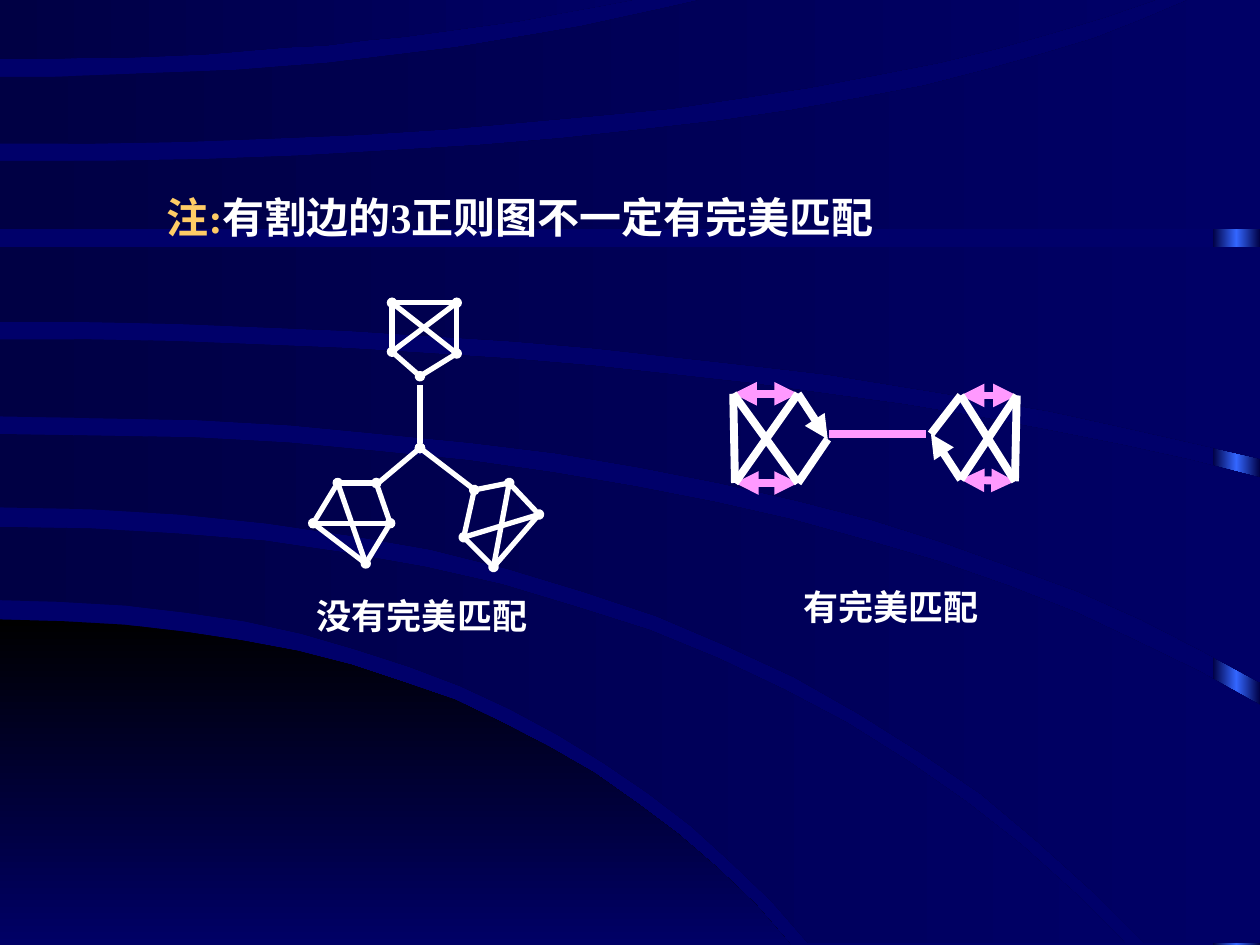
"""Build a slide on perfect matchings in 3-regular graphs with cut edges."""
from copy import deepcopy
from dataclasses import dataclass

from lxml import etree
from pptx import Presentation
from pptx import util as u
from pptx.dml.color import RGBColor
from pptx.enum import shapes, text
from pptx.oxml.ns import qn


@dataclass(frozen=True)
class Theme:
    """Colours, font and sizes of the slide."""
    back: str = "00006A"
    band: tuple = ("000044", "000066")
    ground: tuple = ("000000", "000066")
    stripe: tuple = ("000044", "3366FF", "000044")
    white: str = "FFFFFF"
    gold: str = "FFCC66"
    pink: str = "FF99FF"
    font: str = "Times New Roman"
    title_size: float = 24
    label_size: float = 20
    thin: float = 3
    thick: float = 4.5


@dataclass(frozen=True)
class Arc:
    """A curve that leaves the left side level and bends to its end point."""
    start: float
    bend: float
    right: float
    end: float

    def points(self, steps=16):
        """Return points along the quadratic curve."""
        return [(2 * t * (1 - t) * self.bend + t * t * self.right,
                 (1 - t * t) * self.start + t * t * self.end)
                for t in (step / steps for step in range(steps + 1))]


THEME = Theme()
GROUND = Arc(354, 293, 452, 540), Arc(540, 226, 452, 540)
BANDS = [
    (Arc(301, 420, 643, 539), Arc(343, 295, 462, 539)),
    (Arc(248, 458, 720, 403), Arc(290, 423, 654, 539)),
    (Arc(194, 408, 720, 273), Arc(238, 462, 720, 390)),
    (Arc(141, 360, 720, 141), Arc(184, 410, 720, 262)),
    (Arc(92, 482, 679, 0), Arc(131, 360, 720, 131)),
    (Arc(44, 224, 400, 0), Arc(82, 438, 660, 0)),
    (Arc(0, 180, 361, 0), Arc(34, 192, 361, 0)),
]
HUB = (240, 256)
SPOKES = [(240, 220), (215, 277), (270, 279)]
THIN_HOUSES = [
    [(240, 215), (224, 201), (261, 202), (224, 173), (261, 173)],
    [(215, 276), (193, 276), (223, 299), (179, 299), (209, 322)],
    [(271, 280), (291, 276), (265, 307), (308, 294), (282, 324)],
]
THICK_HOUSES = [
    [(473, 251), (456, 225), (456, 276), (419, 225), (420, 276)],
    [(532, 248), (549, 274), (549, 226), (580, 275), (581, 226)],
]


def rgb(value):
    """Return a colour from its hex value."""
    return RGBColor.from_string(value)


def paint_gradient(shape, colors, angle=0):
    """Fill a shape with evenly spaced gradient colours and no outline."""
    shape.shadow.inherit = False
    shape.line.fill.background()
    shape.fill.gradient()
    shape.fill.gradient_angle = angle
    stop_list = shape._element.spPr.find(qn("a:gradFill")).find(qn("a:gsLst"))
    for _ in colors[2:]:
        stop_list.append(deepcopy(stop_list[0]))
    for index, (stop, color) in enumerate(zip(shape.fill.gradient_stops, colors)):
        stop.position = index / (len(colors) - 1)
        stop.color.rgb = rgb(color)


def add_band(page, upper, lower, colors, angle=0):
    """Draw the gradient area between two arcs."""
    shorter = min(upper, lower, key=lambda arc: arc.right)
    corner = (max(upper.right, lower.right), shorter.end)
    outline = [*upper.points(), corner, *reversed(lower.points())]
    builder = page.shapes.build_freeform(*outline[0], scale=u.Pt(1))
    builder.add_line_segments(outline[1:], close=True)
    paint_gradient(builder.convert_to_shape(), colors, angle)


def add_edge(page, start, end, color, width, head=None, tail=None):
    """Draw a straight edge with optional line ends."""
    line = page.shapes.add_connector(
        shapes.MSO_CONNECTOR.STRAIGHT, *(u.Pt(value) for value in start + end))
    line.line.color.rgb = rgb(color)
    line.line.width = u.Pt(width)
    properties = line._element.spPr
    outline = properties.find(qn("a:ln"))
    for tag, kind in (("a:headEnd", head), ("a:tailEnd", tail)):
        if kind:
            size = "sm" if kind == "oval" else "med"
            etree.SubElement(outline, qn(tag), type=kind, w=size, len=size)
    etree.SubElement(properties, qn("a:effectLst"))


def add_house(page, corners, width, side_color, side_end, tip_end):
    """Draw a five-vertex graph: two sides, a tip, a base and two diagonals."""
    tip, near, other, far, opposite = corners
    for start, end in ((near, far), (other, opposite)):
        add_edge(page, start, end, side_color, width, side_end, side_end)
    add_edge(page, tip, near, THEME.white, width, tip_end)
    for start, end in ((tip, other), (far, opposite), (near, opposite), (other, far)):
        add_edge(page, start, end, THEME.white, width)


def write_text(box, frame, spans, size, align):
    """Place a box and write one bold paragraph of coloured spans."""
    box.left, box.top, box.width, box.height = (u.Pt(value) for value in frame)
    body = box.text_frame
    body.word_wrap = True
    body.auto_size = text.MSO_AUTO_SIZE.NONE
    body.vertical_anchor = text.MSO_ANCHOR.TOP
    para = body.paragraphs[0]
    para.alignment = align
    para.font.name = THEME.font
    para.font.size = u.Pt(size)
    para.font.bold = True
    for words, color in spans:
        span = para.add_run()
        span.text = words
        span.font.color.rgb = rgb(color)


def add_label(page, frame, words):
    """Add a caption below a graph."""
    box = page.shapes.add_textbox(*(u.Pt(value) for value in frame))
    write_text(box, frame, [(words, THEME.white)], THEME.label_size,
               text.PP_ALIGN.JUSTIFY)


def add_backdrop(page):
    """Draw the side stripe, the ground and the curved bands."""
    page.background.fill.solid()
    page.background.fill.fore_color.rgb = rgb(THEME.back)
    stripe = page.shapes.add_shape(shapes.MSO_SHAPE.RECTANGLE, u.Pt(693), 0,
                                   u.Pt(27), u.Pt(540))
    paint_gradient(stripe, THEME.stripe)
    add_band(page, *GROUND, THEME.ground, 270)
    for upper, lower in BANDS:
        add_band(page, upper, lower, THEME.band)


def add_title(page):
    """Write the title in front of the backdrop."""
    title = page.shapes.title
    page.shapes._spTree.append(title._element)
    spans = [("注:", THEME.gold), ("有割边的3正则图不一定有完美匹配", THEME.white)]
    write_text(title, (88, 106, 557, 36), spans, THEME.title_size,
               text.PP_ALIGN.LEFT)


def add_unmatched_graph(page):
    """Draw the graph of three houses joined at a hub."""
    for corners in THIN_HOUSES:
        add_house(page, corners, THEME.thin, THEME.white, "oval", "oval")
    for end in SPOKES:
        add_edge(page, HUB, end, THEME.white, THEME.thin, "oval")
    add_label(page, (174, 336, 161, 48), "没有完美匹配")


def add_matched_graph(page):
    """Draw the graph of two houses joined by a cut edge."""
    for corners in THICK_HOUSES:
        add_house(page, corners, THEME.thick, THEME.pink, "triangle", "triangle")
    add_edge(page, (474, 248), (529, 248), THEME.pink, THEME.thick)
    add_label(page, (452, 331, 153, 55), "有完美匹配")


def main():
    """Build and save the deck."""
    deck = Presentation()
    deck.slide_width, deck.slide_height = u.Pt(720), u.Pt(540)
    page = deck.slides.add_slide(deck.slide_layouts.get_by_name("Title Only"))
    add_backdrop(page)
    add_title(page)
    add_unmatched_graph(page)
    add_matched_graph(page)
    deck.save("out.pptx")


if __name__ == "__main__":
    main()
